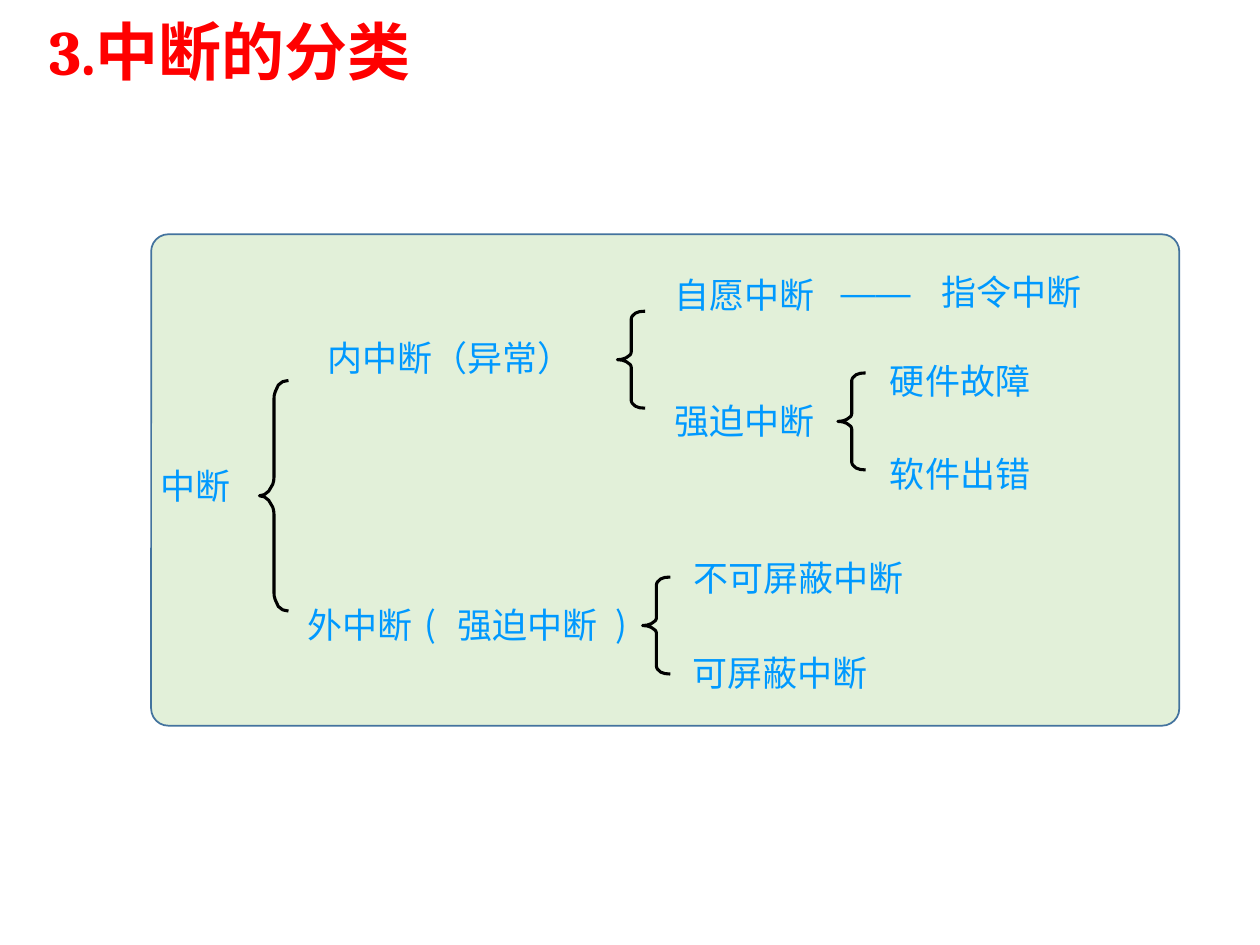
from pptx import Presentation
from pptx.dml.color import RGBColor
from pptx.enum.shapes import MSO_SHAPE
from pptx.enum.text import MSO_ANCHOR, MSO_AUTO_SIZE as AUTO_SIZE, PP_ALIGN
from pptx.oxml.ns import qn
from pptx.util import Inches, Pt

# Content
TITLE = "3.中断的分类"
CJK = "Noto Sans CJK JP"
TEXT_HEIGHT = 0.34
LABELS = [  # text, left, top, width
    ("中断", 1.27, 3.69, 0.56),
    ("内中断（异常）", 2.59, 2.67, 1.96),
    ("外中断", 2.44, 4.79, 0.84),
    ("(", 3.37, 4.78, 0.1),
    ("强迫中断", 3.63, 4.79, 1.12),
    (")", 4.88, 4.78, 0.1),
    ("自愿中断", 5.35, 2.17, 1.12),
    ("——", 6.67, 2.15, 0.56),
    ("指令中断", 7.47, 2.15, 1.12),
    ("强迫中断", 5.35, 3.17, 1.12),
    ("硬件故障", 7.06, 2.85, 1.12),
    ("软件出错", 7.06, 3.59, 1.12),
    ("不可屏蔽中断", 5.5, 4.42, 1.68),
    ("可屏蔽中断", 5.49, 5.17, 1.4),
]
BRACES = [  # left, top, width, height
    (2.06, 3.02, 0.23, 1.83),
    (4.9, 2.47, 0.22, 0.77),
    (6.65, 2.96, 0.22, 0.77),
    (5.1, 4.58, 0.22, 0.77),
]
# Upper half of a brace, as percentages of its width and height
HALF_BRACE = [(100, 0), (80, 0.5), (65, 2), (54, 5), (51, 6.5), (50, 8),
              (50, 42), (49, 43.5), (46, 45), (32, 48), (17, 49.5), (0, 50)]


def color(value):
    return RGBColor.from_string(value)


def apply(target, values):
    for name, value in values.items():
        setattr(target, name, value)


def set_run(paragraph, text, font, size, fill, bold=False):
    run = paragraph.add_run()
    run.text = text
    apply(run.font, {"name": font, "size": Pt(size), "bold": bold})
    run.font.color.rgb = color(fill)
    east_asian = run.font._element.makeelement(qn("a:ea"), {"typeface": CJK})
    run.font._element.find(qn("a:latin")).addnext(east_asian)


def set_line(shape, value, width):
    shape.shadow.inherit = False
    shape.line.color.rgb = color(value)
    shape.line.width = Pt(width)


def add_label(slide, text, left, top, width):
    box = slide.shapes.add_textbox(*map(Inches, (left, top, width, TEXT_HEIGHT)))
    apply(box.text_frame, {
        "margin_left": 0, "margin_right": 0, "margin_top": 0, "margin_bottom": 0,
        "word_wrap": False, "auto_size": AUTO_SIZE.SHAPE_TO_FIT_TEXT})
    paragraph = box.text_frame.paragraphs[0]
    paragraph.alignment = PP_ALIGN.CENTER
    set_run(paragraph, text, "Arial" if text == "——" else CJK, 20, "0099FF")


def add_brace(slide, left, top, width, height):
    outline = HALF_BRACE + [(x, 100 - y) for x, y in HALF_BRACE[-2::-1]]
    points = [(Inches(left + width * x / 100), Inches(top + height * y / 100))
              for x, y in outline]
    builder = slide.shapes.build_freeform(*points[0])
    builder.add_line_segments(points[1:], close=False)
    brace = builder.convert_to_shape()
    brace.fill.background()
    set_line(brace, "000000", 1.75)


def main():
    presentation = Presentation()
    apply(presentation, {"slide_width": Inches(10), "slide_height": Inches(7.5)})
    slide = presentation.slides.add_slide(presentation.slide_layouts[5])

    # Title
    title = slide.shapes.title
    apply(title, {"left": 0, "top": 0, "width": Inches(9.8), "height": Inches(0.8)})
    apply(title.text_frame, {"vertical_anchor": MSO_ANCHOR.MIDDLE,
                             "auto_size": AUTO_SIZE.NONE})
    paragraph = title.text_frame.paragraphs[0]
    apply(paragraph, {"alignment": PP_ALIGN.JUSTIFY,
                      "space_before": Pt(6), "space_after": Pt(6)})
    properties = paragraph._p.get_or_add_pPr()
    properties.set("marL", "0")
    properties.set("indent", str(Inches(0.29)))
    set_run(paragraph, TITLE, "Cambria", 36, "FF0000", bold=True)

    # Panel
    panel = slide.shapes.add_shape(MSO_SHAPE.ROUNDED_RECTANGLE,
                                   *map(Inches, (1.2, 1.86, 8.16, 3.9)))
    panel.adjustments[0] = 0.035
    panel.fill.solid()
    panel.fill.fore_color.rgb = color("E2F0D9")
    set_line(panel, "43739E", 1)

    # Classification tree
    for brace in BRACES:
        add_brace(slide, *brace)
    for label in LABELS:
        add_label(slide, *label)

    presentation.save("out.pptx")


if __name__ == "__main__":
    main()
